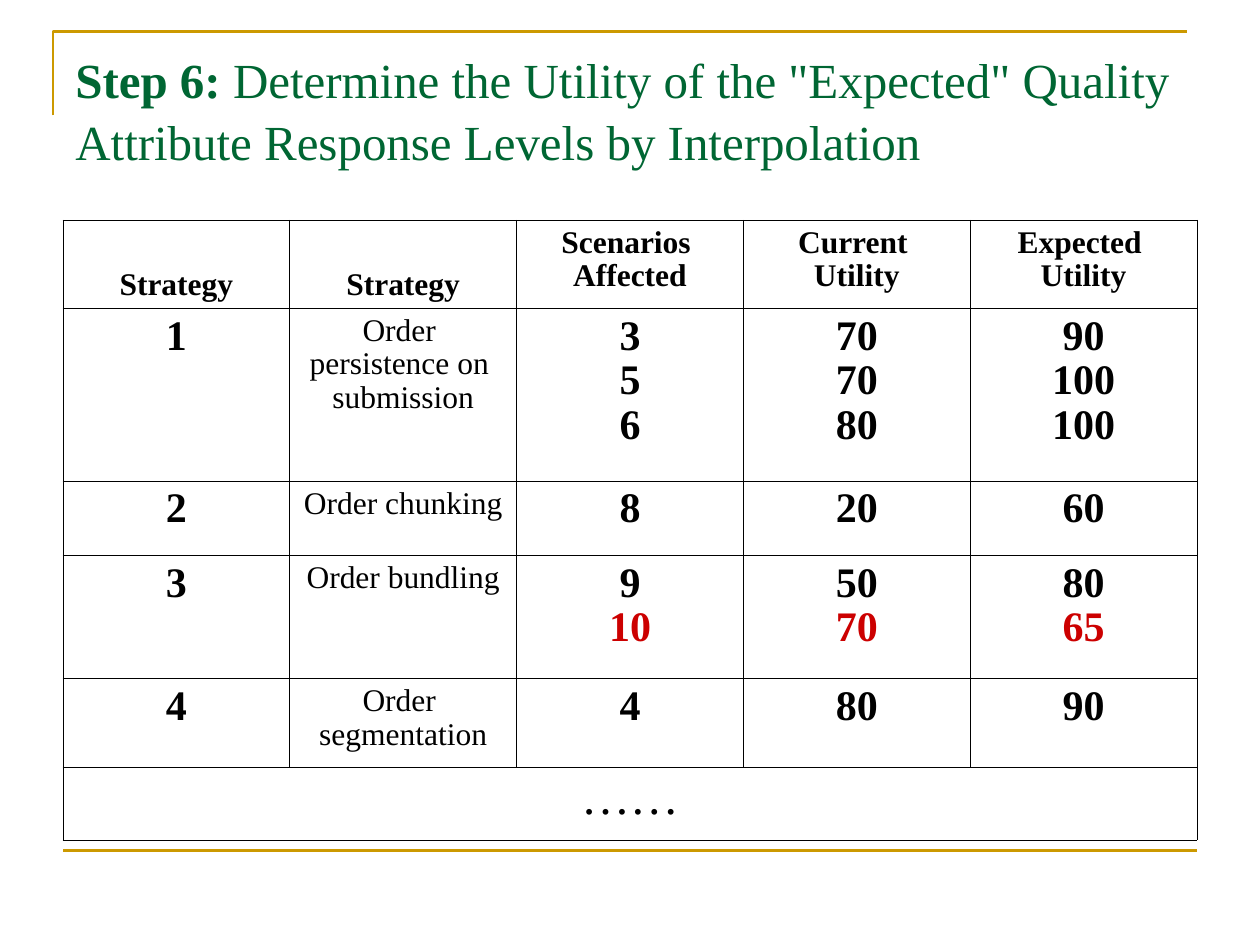
from dataclasses import dataclass

from lxml import etree
from pptx import Presentation
from pptx import util as u
from pptx.dml.color import RGBColor
from pptx.enum import shapes, text
from pptx.oxml import ns


@dataclass(frozen=True)
class Theme:
    font: str = "Times New Roman"
    title: str = "006633"
    rule: str = "CC9900"
    body: str = "000000"
    drop: str = "CC0000"
    title_size: int = 28
    label_size: int = 18
    number_size: int = 24
    dots_size: int = 28
    rule_width: float = 1.5
    border_width: float = 0.45


THEME = Theme()
WIDTH, HEIGHT = u.Inches(10), u.Inches(7.5)
MARGIN = 0.05
COLUMNS = 5
ROW_HEIGHTS = [0.7, 1.37, 0.59, 0.98, 0.7, 0.58]
HANGING = u.Inches(0.38)

HEADERS = [["Strategy"], ["Strategy"], ["Scenarios ", "Affected"],
           ["Current ", "Utility"], ["Expected ", "Utility"]]
STRATEGIES = [
    [["1"], ["Order ", "persistence on ", "submission"],
     ["3", "5", "6"], ["70", "70", "80"], ["90", "100", "100"]],
    [["2"], ["Order chunking"], ["8"], ["20"], ["60"]],
    [["3"], ["Order bundling"], ["9", "10"], ["50", "70"], ["80", "65"]],
    [["4"], ["Order ", "segmentation"], ["4"], ["80"], ["90"]],
]
DROPPED_SCENARIO = "10"


def across(share):
    return round(WIDTH * share)


def down(share):
    return round(HEIGHT * share)


def apply(target, values):
    for name, value in values.items():
        setattr(target, name, value)


def add_run(paragraph, words, size, color, bold):
    run = paragraph.add_run()
    run.text = words
    apply(run.font, {"name": THEME.font, "size": u.Pt(size), "bold": bold})
    run.font.color.rgb = RGBColor.from_string(color)


def style_rule(rule):
    rule.line.color.rgb = RGBColor.from_string(THEME.rule)
    rule.line.width = u.Pt(THEME.rule_width)


def add_corner_rule(slide):
    left, top = across(0.042), down(0.033)
    outline = slide.shapes.build_freeform(left, down(0.122))
    outline.add_line_segments([(left, top), (across(0.942), top)], close=False)
    corner = outline.convert_to_shape()
    corner.fill.background()
    corner.shadow.inherit = False
    style_rule(corner)


def add_bottom_rule(slide):
    level = down(0.9)
    rule = slide.shapes.add_connector(
        shapes.MSO_CONNECTOR.STRAIGHT,
        across(MARGIN), level, across(1 - MARGIN), level)
    style_rule(rule)
    etree.SubElement(rule._element.spPr, ns.qn("a:effectLst"))


def add_title(slide):
    frame = slide.shapes.add_textbox(
        across(MARGIN), down(0.04), across(1 - 2 * MARGIN), down(1 / 6)).text_frame
    apply(frame, {"word_wrap": True, "margin_top": u.Inches(0.07),
                  "vertical_anchor": text.MSO_ANCHOR.TOP})
    heading = frame.paragraphs[0]
    heading.line_spacing = 1.05
    add_run(heading, "Step 6:", THEME.title_size, THEME.title, True)
    add_run(heading,
            ' Determine the Utility of the "Expected" Quality Attribute '
            "Response Levels by Interpolation",
            THEME.title_size, THEME.title, False)


def add_borders(cell):
    properties = cell._tc.get_or_add_tcPr()
    for position, side in enumerate(("lnL", "lnR", "lnT", "lnB")):
        border = etree.Element(ns.qn(f"a:{side}"), w=str(u.Pt(THEME.border_width)))
        fill = etree.SubElement(border, ns.qn("a:solidFill"))
        etree.SubElement(fill, ns.qn("a:srgbClr"), val=THEME.body)
        properties.insert(position, border)


def fill_cell(cell, lines, size, bold, colors=None, anchor=text.MSO_ANCHOR.TOP):
    apply(cell, {"vertical_anchor": anchor,
                 "margin_left": u.Inches(0.1), "margin_right": u.Inches(0.1),
                 "margin_top": u.Inches(0.05), "margin_bottom": u.Inches(0.05)})
    frame = cell.text_frame
    for index, words in enumerate(lines):
        paragraph = frame.add_paragraph() if index else frame.paragraphs[0]
        apply(paragraph, {"alignment": text.PP_ALIGN.CENTER, "line_spacing": 0.96})
        hanging = paragraph._p.get_or_add_pPr()
        hanging.set("marL", str(HANGING))
        hanging.set("indent", str(-HANGING))
        add_run(paragraph, words, size, colors[index] if colors else THEME.body, bold)


def add_utility_table(slide):
    grid = slide.shapes.add_table(
        len(ROW_HEIGHTS), COLUMNS, across(MARGIN), down(0.233),
        across(1 - 2 * MARGIN), u.Inches(sum(ROW_HEIGHTS))).table
    apply(grid, {"first_row": False, "horz_banding": False})
    for row, height in zip(grid.rows, ROW_HEIGHTS):
        row.height = u.Inches(height)
    for cell in grid.iter_cells():
        cell.fill.background()
        add_borders(cell)

    for column, lines in enumerate(HEADERS):
        anchor = text.MSO_ANCHOR.BOTTOM if len(lines) == 1 else text.MSO_ANCHOR.TOP
        fill_cell(grid.cell(0, column), lines, THEME.label_size, True, anchor=anchor)

    for row, strategy in enumerate(STRATEGIES, start=1):
        scenario_colors = [THEME.drop if scenario == DROPPED_SCENARIO else THEME.body
                           for scenario in strategy[2]]
        for column, lines in enumerate(strategy):
            is_name = column == 1
            fill_cell(grid.cell(row, column), lines,
                      THEME.label_size if is_name else THEME.number_size,
                      not is_name, scenario_colors if column > 1 else None)

    last = len(ROW_HEIGHTS) - 1
    more = grid.cell(last, 0)
    more.merge(grid.cell(last, COLUMNS - 1))
    fill_cell(more, ["……"], THEME.dots_size, False)


def main():
    deck = Presentation()
    apply(deck, {"slide_width": WIDTH, "slide_height": HEIGHT})
    slide = deck.slides.add_slide(deck.slide_layouts[6])
    add_corner_rule(slide)
    add_bottom_rule(slide)
    add_title(slide)
    add_utility_table(slide)
    deck.save("out.pptx")


if __name__ == "__main__":
    main()
